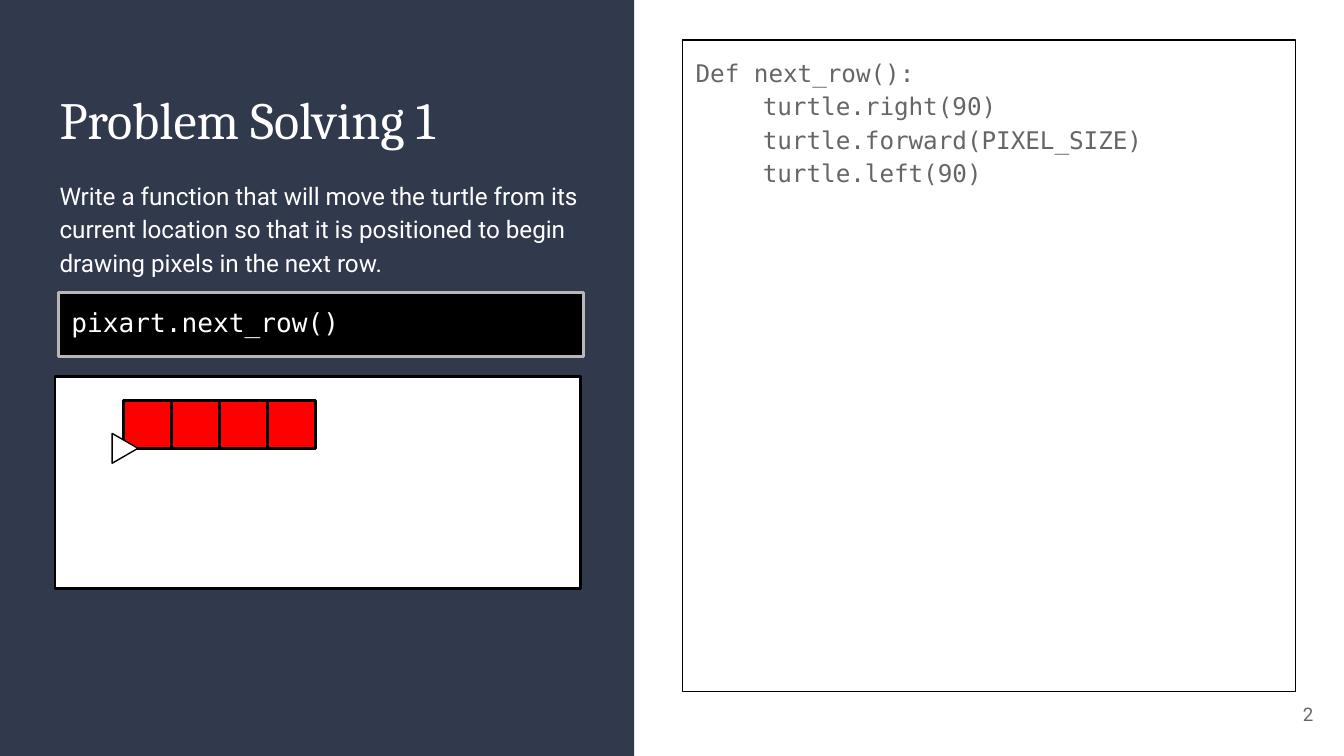
from dataclasses import dataclass

from pptx import Presentation
from pptx.dml.color import RGBColor
from pptx.enum.shapes import MSO_SHAPE as SHAPE
from pptx.enum.text import MSO_ANCHOR as ANCHOR, PP_ALIGN as ALIGN
from pptx.util import Pt


@dataclass(frozen=True)
class Theme:
    navy: str = "31394D"
    white: str = "FFFFFF"
    black: str = "000000"
    grey: str = "666666"
    silver: str = "B7B7B7"
    red: str = "FF0000"
    heading: str = "Cambria"
    body: str = "Roboto"
    mono: str = "DejaVu Sans Mono"
    title_size: float = 28
    call_size: float = 14
    body_size: float = 13
    number_size: float = 10


T = Theme()
INSET = 7.2
CODE = [
    "Def next_row():",
    "\tturtle.right(90)",
    "\tturtle.forward(PIXEL_SIZE)",
    "\tturtle.left(90)",
]


def add_box(shapes, box, fill=None, line=None, weight=1.5, kind=SHAPE.RECTANGLE):
    sp = shapes.add_shape(kind, *map(Pt, box))
    sp.shadow.inherit = False
    if fill:
        sp.fill.solid()
        sp.fill.fore_color.rgb = RGBColor.from_string(fill)
    else:
        sp.fill.background()
    if line:
        sp.line.color.rgb = RGBColor.from_string(line)
        sp.line.width = Pt(weight)
    else:
        sp.line.fill.background()
    return sp


def write(sp, lines, font, size, color, anchor=ANCHOR.TOP, align=ALIGN.LEFT, spacing=None):
    """Fill a shape with one paragraph per line, all in one style."""
    tf = sp.text_frame
    tf.word_wrap = True
    tf.vertical_anchor = anchor
    tf.margin_left = tf.margin_right = tf.margin_top = tf.margin_bottom = Pt(INSET)
    for i, line in enumerate(lines):
        p = tf.add_paragraph() if i else tf.paragraphs[0]
        p.text = line
        p.alignment = align
        p.line_spacing = spacing
        p.font.name = font
        p.font.size = Pt(size)
        p.font.color.rgb = RGBColor.from_string(color)


def add_text(shapes, box, text, *style, **layout):
    write(shapes.add_textbox(*map(Pt, box)), [text], *style, **layout)


def add_turtle_canvas(shapes):
    """Canvas with a row of drawn pixels and the turtle at the row's start."""
    canvas = shapes.add_group_shape().shapes
    add_box(canvas, (29.5, 201.6, 281.5, 113.8), T.white, T.black)
    pixel = 25.7
    for col in range(4):
        add_box(canvas, (66.2 + col * pixel, 214.5, pixel, pixel), T.red, T.black)
    turtle = add_box(canvas, (59, 233.3, 16, 13.8), T.white, T.black, 0.75,
                     SHAPE.ISOSCELES_TRIANGLE)
    turtle.rotation = 90


def main():
    prs = Presentation()
    prs.slide_width, prs.slide_height = Pt(720), Pt(405)
    shapes = prs.slides.add_slide(prs.slide_layouts[6]).shapes

    add_box(shapes, (0, 0, 339.8, 405), T.navy)
    add_text(shapes, (24.8, 39.6, 291.6, 50.4), "Problem Solving 1",
             T.heading, T.title_size, T.white)
    code = add_box(shapes, (365.6, 21.5, 328.3, 349), line=T.black, weight=0.75)
    write(code, CODE, T.mono, T.body_size, T.grey, spacing=1.15)
    add_text(shapes, (24.8, 95, 291.6, 53.3),
             "Write a function that will move the turtle from its current location "
             "so that it is positioned to begin drawing pixels in the next row.",
             T.body, T.body_size, T.white, anchor=ANCHOR.MIDDLE, spacing=1.15)
    add_text(shapes, (667.4, 367.2, 43.2, 31), "2",
             T.body, T.number_size, T.grey, anchor=ANCHOR.MIDDLE, align=ALIGN.RIGHT)
    add_turtle_canvas(shapes)
    call = add_box(shapes, (31.2, 156.7, 281.5, 34.4), T.black, T.silver)
    write(call, ["pixart.next_row()"], T.mono, T.call_size, T.white)

    prs.save("out.pptx")


if __name__ == "__main__":
    main()
